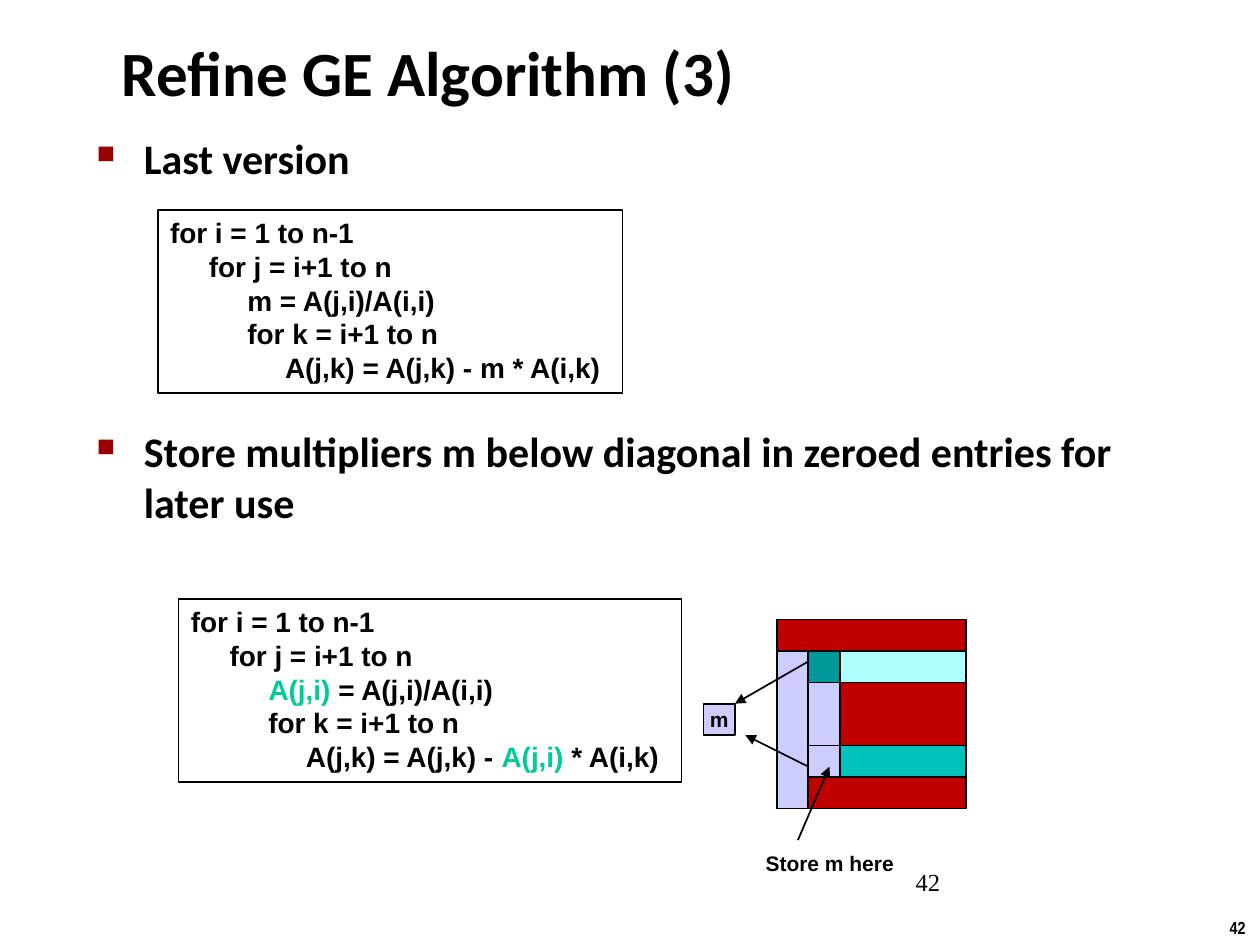
import lxml.etree
import pptx
import pptx.dml.color
import pptx.enum.shapes
import pptx.enum.text
import pptx.oxml.ns
import pptx.util

Cm = pptx.util.Cm
Pt = pptx.util.Pt
RGBColor = pptx.dml.color.RGBColor
qn = pptx.oxml.ns.qn
Anchor = pptx.enum.text.MSO_ANCHOR

BLACK = RGBColor(0x00, 0x00, 0x00)
BULLET_RED = RGBColor(0x99, 0x00, 0x00)
CODE_GREEN = RGBColor(0x00, 0xCC, 0x99)
MATRIX_RED = RGBColor(0xC0, 0x00, 0x00)
LAVENDER = RGBColor(0xCC, 0xCC, 0xFF)
PIVOT_TEAL = RGBColor(0x00, 0x99, 0x99)
PALE_CYAN = RGBColor(0xAF, 0xFF, 0xFF)
ROW_TEAL = RGBColor(0x00, 0xC3, 0xBE)

FIRST_CODE = [
    [("for i = 1 to n-1", BLACK)],
    [("     for j = i+1 to n", BLACK)],
    [("          m = A(j,i)/A(i,i)", BLACK)],
    [("          for k = i+1 to n", BLACK)],
    [("               A(j,k) = A(j,k) - m * A(i,k)", BLACK)],
]
STORED_CODE = [
    *FIRST_CODE[:2],
    [("          ", BLACK), ("A(j,i)", CODE_GREEN), (" = A(j,i)/A(i,i)", BLACK)],
    FIRST_CODE[3],
    [("               A(j,k) = A(j,k) - ", BLACK), ("A(j,i)", CODE_GREEN),
     (" * A(i,k)", BLACK)],
]


def add_span(para, text, size, font="Arial", bold=True, color=BLACK):
    """Add one formatted run to a paragraph."""
    span = para.add_run()
    span.text = text
    span.font.name = font
    span.font.size = Pt(size)
    span.font.bold = bold
    span.font.color.rgb = color


def add_box(page, left, top, width, height, wrap=True, anchor=Anchor.TOP):
    """Add an empty text box and return it."""
    box = page.shapes.add_textbox(left, top, width, height)
    box.text_frame.word_wrap = wrap
    box.text_frame.vertical_anchor = anchor
    return box


def add_label(page, left, top, width, height, text, size,
              font="Arial", bold=True, wrap=False, anchor=Anchor.TOP):
    """Add a single line of text."""
    box = add_box(page, left, top, width, height, wrap, anchor)
    add_span(box.text_frame.paragraphs[0], text, size, font, bold)


def add_bullets(page, left, top, width, height, items):
    """Add square-bulleted paragraphs, each with its space before."""
    frame = add_box(page, left, top, width, height).text_frame
    for index, (text, gap) in enumerate(items):
        para = frame.add_paragraph() if index else frame.paragraphs[0]
        para.space_before = Pt(gap)
        props = para._p.get_or_add_pPr()
        props.set("marL", str(Cm(0.95)))
        props.set("indent", str(-Cm(0.95)))
        color = lxml.etree.SubElement(props, qn("a:buClr"))
        lxml.etree.SubElement(color, qn("a:srgbClr"), val=str(BULLET_RED))
        lxml.etree.SubElement(props, qn("a:buSzPct"), val="60000")
        lxml.etree.SubElement(props, qn("a:buChar"), char="■")
        add_span(para, text, 24, "Calibri")


def add_code(page, left, top, width, height, lines):
    """Add a framed code listing."""
    box = add_box(page, left, top, width, height, wrap=False)
    box.line.color.rgb = BLACK
    box.line.width = Pt(1)
    for index, spans in enumerate(lines):
        para = box.text_frame.add_paragraph() if index else box.text_frame.paragraphs[0]
        for text, color in spans:
            add_span(para, text, 16, color=color)


def add_block(page, left, top, width, height, fill):
    """Add a filled, outlined rectangle and return it."""
    block = page.shapes.add_shape(
        pptx.enum.shapes.MSO_SHAPE.RECTANGLE, left, top, width, height)
    block.shadow.inherit = False
    block.fill.solid()
    block.fill.fore_color.rgb = fill
    block.line.color.rgb = BLACK
    block.line.width = Pt(1)
    return block


def add_arrow(page, start_x, start_y, end_x, end_y):
    """Add a straight arrow pointing at its end."""
    arrow = page.shapes.add_connector(
        pptx.enum.shapes.MSO_CONNECTOR.STRAIGHT, start_x, start_y, end_x, end_y)
    arrow.line.color.rgb = BLACK
    arrow.line.width = Pt(1)
    lxml.etree.SubElement(arrow.line._get_or_add_ln(), qn("a:tailEnd"), type="triangle")
    lxml.etree.SubElement(arrow._element.spPr, qn("a:effectLst"))


def add_matrix(page, left, top, side):
    """Add the matrix on a six-cell grid, with its multiplier and arrows."""
    cell = side / 6

    def across(column):
        return round(left + column * cell)

    def down(row):
        return round(top + row * cell)

    def block(column, row, columns, rows, fill):
        return add_block(page, across(column), down(row),
                         round(columns * cell), round(rows * cell), fill)

    for column, row, columns, rows, fill in [
        (0, 0, 6, 6, MATRIX_RED),
        (0, 1, 1, 5, LAVENDER),
        (1, 2, 1, 2, LAVENDER),
        (1, 1, 1, 1, PIVOT_TEAL),
        (2, 1, 4, 1, PALE_CYAN),
        (2, 4, 4, 1, ROW_TEAL),
        (1, 4, 1, 1, LAVENDER),
    ]:
        block(column, row, columns, rows, fill)

    frame = block(-2.33, 2.67, 1, 1, LAVENDER).text_frame
    frame.word_wrap = False
    frame.vertical_anchor = Anchor.MIDDLE
    frame.paragraphs[0].alignment = pptx.enum.text.PP_ALIGN.CENTER
    add_span(frame.paragraphs[0], "m", 12)

    for start_x, start_y, end_x, end_y in [
        (1, 1.33, -1.33, 2.67),
        (1, 4.67, -1, 3.67),
        (0.67, 7, 1.67, 4.67),
    ]:
        add_arrow(page, across(start_x), down(start_y), across(end_x), down(end_y))
    add_label(page, across(-0.75), down(7.13), Cm(3.1), Cm(0.76), "Store m here", 12)


def main():
    """Build the slide and save it."""
    deck = pptx.Presentation()
    deck.slide_width, deck.slide_height = Cm(25.4), Cm(19.05)
    page = deck.slides.add_slide(deck.slide_layouts[6])
    add_label(page, Cm(24.54), Cm(18.36), Cm(0.86), Cm(0.69), "42", 10, "Arial Narrow")
    add_label(page, Cm(18.21), Cm(17.35), Cm(5.28), Cm(1.27), "42", 14,
              "Times New Roman", bold=False, wrap=True)
    add_label(page, Cm(2.21), Cm(0.86), Cm(15.57), Cm(1.17), "Refine GE Algorithm (3)",
              36, "Calibri", wrap=True, anchor=Anchor.MIDDLE)
    add_bullets(page, Cm(1.7), Cm(2.54), Cm(22.23), Cm(8.79), [
        ("Last version", 0),
        ("Store multipliers m below diagonal in zeroed entries for later use", 139),
    ])
    add_code(page, Cm(3.18), Cm(4.23), Cm(9.37), Cm(3.69), FIRST_CODE)
    add_code(page, Cm(3.6), Cm(12.07), Cm(10.14), Cm(3.69), STORED_CODE)
    add_matrix(page, Cm(15.66), Cm(12.49), Cm(3.81))
    deck.save("out.pptx")


if __name__ == "__main__":
    main()
